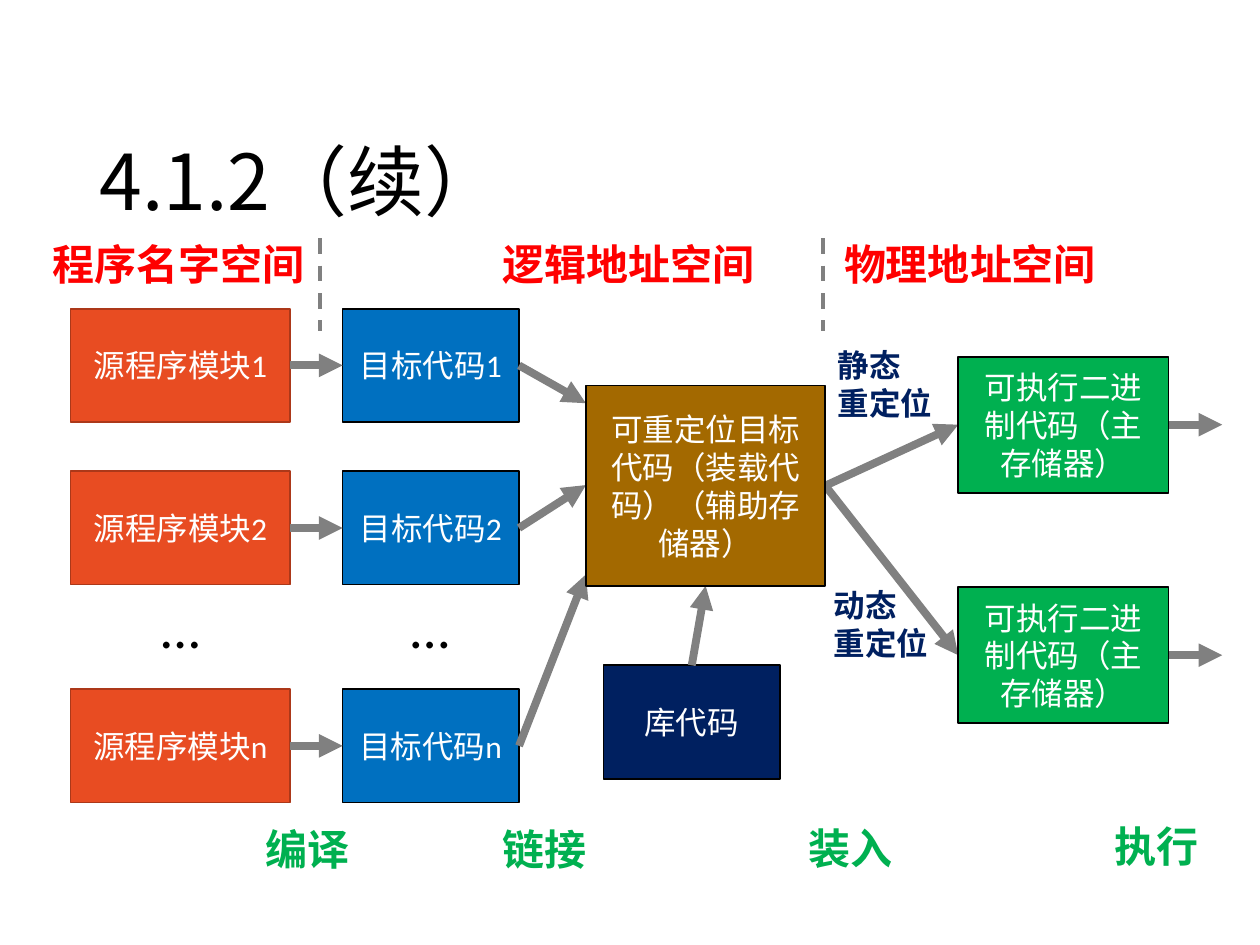
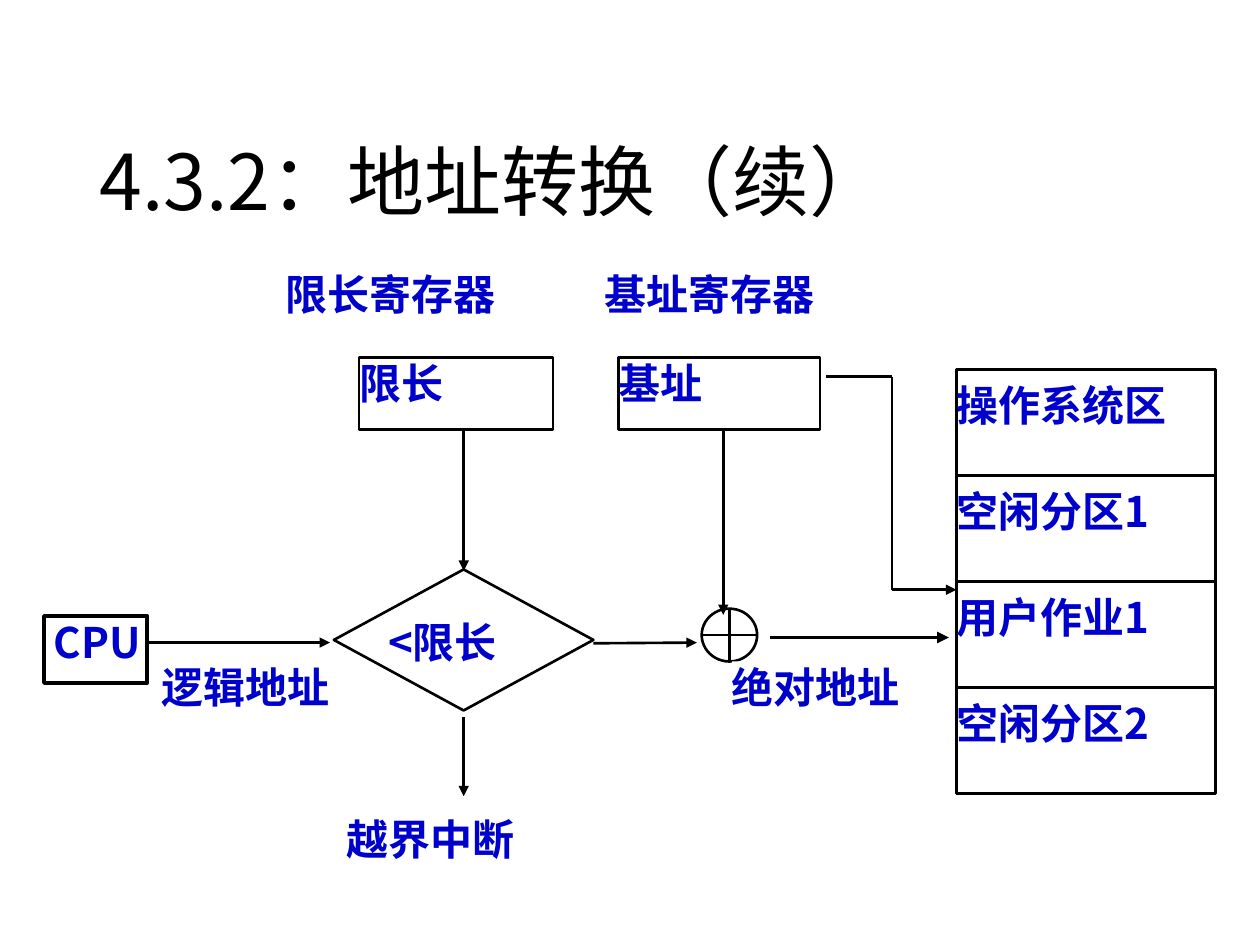
from dataclasses import dataclass
from lxml import etree
from pptx import Presentation
from pptx.dml.color import RGBColor
from pptx.enum.dml import MSO_LINE
from pptx.enum.shapes import MSO_CONNECTOR, MSO_SHAPE
from pptx.enum.text import MSO_ANCHOR, MSO_AUTO_SIZE, PP_ALIGN
from pptx.oxml.ns import qn
from pptx.util import Pt

RECTANGLE = MSO_SHAPE.RECTANGLE
DECISION = MSO_SHAPE.FLOWCHART_DECISION
SUMMING = MSO_SHAPE.FLOWCHART_OR
STRAIGHT = MSO_CONNECTOR.STRAIGHT
DASH = MSO_LINE.DASH
TOP, MIDDLE, BOTTOM = MSO_ANCHOR.TOP, MSO_ANCHOR.MIDDLE, MSO_ANCHOR.BOTTOM
LEFT, CENTER = PP_ALIGN.LEFT, PP_ALIGN.CENTER
FIT, FIXED = MSO_AUTO_SIZE.SHAPE_TO_FIT_TEXT, MSO_AUTO_SIZE.NONE


@dataclass(frozen=True)
class Theme:
    heading_font: str = "Noto Sans CJK SC"
    body_font: str = "Calibri"
    title_size: float = 44
    dots_size: float = 32
    label_size: float = 24
    box_size: float = 18
    black: str = "000000"
    white: str = "FFFFFF"
    gray: str = "808080"
    orange: str = "E84C22"
    rust: str = "AC3819"
    blue: str = "0070C0"
    navy: str = "002060"
    brown: str = "A36900"
    green: str = "00B050"
    red: str = "FF0000"
    ink: str = "0000CC"
    thin: float = 1
    normal: float = 1.5
    bold: float = 2.25
    thick: float = 4.5


theme = Theme()
SLIDE_SIZE = (720, 540)
TITLE_FRAME = (49.7, 28.8, 620.6, 104.4)

MODULE_NAMES = ["1", "2", "n"]
MODULE_TOPS = [176.4, 269.3, 393.8]
MODULE_HEIGHT = 64.8
MODULE_COLUMNS = [
    ("源程序模块", 40.3, 125.6, theme.orange, theme.rust),
    ("目标代码", 195.8, 100.8, theme.blue, theme.black),
]
DOTS = [(85, 334.8), (227.5, 334.8)]
LIBRARY = ("库代码", (344.9, 380.2, 100.8, 64.8), theme.navy)
LOADABLE = ("可重定位目标代码（装载代码）（辅助存储器）", (334.8, 220.3, 136.8, 114.5), theme.brown)
EXECUTABLE = "可执行二进制代码（主存储器）"
EXECUTABLE_TOPS = [203.8, 335.5]
EXECUTABLE_LEFT, EXECUTABLE_WIDTH, EXECUTABLE_HEIGHT = 547.6, 120.2, 77.8
EXIT_RIGHT = 698.4
LINK_ENDS = [230.4, 277.2, 328.3]
SPACES = [("程序名字空间", 23), ("逻辑地址空间", 280.1), ("物理地址空间", 475.2)]
SPACE_TOP, SPACE_WIDTH, LABEL_HEIGHT = 132.5, 159.8, 36
DIVIDERS = [182.9, 470.2]
STEPS = [("编译", 144.7, 467.3), ("链接", 280.1, 467.3), ("装入", 455, 466.6), ("执行", 630, 465.1)]
STEP_WIDTH = 63.4
RELOCATIONS = [(["静态", "重定位"], 471.6, 194.4), (["动态", "重定位"], 469.4, 331.2)]

REGISTERS = [
    ("限长寄存器", (163.4, 153.4, 167, 37.4), None),
    ("基址寄存器", (345.6, 153.4, 151.9, 37.4), None),
    ("限长", (205.2, 204.5, 110.9, 41), theme.normal),
    ("基址", (353.5, 204.5, 115.2, 41), theme.normal),
    (" CPU", (25.2, 352.1, 59, 38.2), theme.bold),
    ("逻辑地址", (92.2, 378, 100.8, 31.7), None),
    ("绝对地址", (418.3, 378, 119.5, 38.2), None),
    ("越界中断", (198, 465.1, 133.2, 33.8), None),
]
PARTITIONS = ["操作系统区", "空闲分区1", "用户作业1", "空闲分区2"]
MEMORY_LEFT, MEMORY_TOP, MEMORY_WIDTH, PARTITION_HEIGHT = 546.5, 211, 148.3, 60.6
SUMMING_FRAME = (401, 347.8, 31.7, 30.2)
DECISION_FRAME = (190.8, 325.4, 148.3, 80.6)
DECISION_TEXT = ("<限长", (221.8, 352.1, 79.9, 38.2))
SIGNALS = [
    ((84.7, 367.2), (188.6, 367.2), theme.normal, True),
    ((265, 245.5), (265, 326.2), theme.normal, True),
    ((265, 409.7), (265, 455), theme.normal, True),
    ((339.1, 367.6), (398.2, 367.2), theme.normal, True),
    ((413.3, 246.2), (413.3, 351.4), theme.normal, True),
    ((439.9, 364.3), (542.2, 364.3), theme.bold, True),
    ((472.3, 215.3), (509.8, 215.3), theme.normal, False),
    ((509.8, 215.3), (509.8, 337), theme.normal, False),
    ((509.8, 337), (546.5, 337), theme.normal, True),
]


def points(values):
    return [Pt(value) for value in values]


def color(value):
    return RGBColor.from_string(value)


def write(shape, lines, size, ink, font=theme.heading_font, bold=False, align=LEFT,
          anchor=TOP, insets=(7.2, 3.6, 7.2, 3.6), wrap=True, fit=FIXED, spacing=None):
    frame = shape.text_frame
    frame.word_wrap, frame.auto_size, frame.vertical_anchor = wrap, fit, anchor
    (frame.margin_left, frame.margin_top,
     frame.margin_right, frame.margin_bottom) = points(insets)
    for index, line in enumerate(lines):
        paragraph = frame.add_paragraph() if index else frame.paragraphs[0]
        paragraph.alignment = align
        paragraph.line_spacing = spacing
        run = paragraph.add_run()
        run.text = line
        run.font.size, run.font.name, run.font.bold = Pt(size), font, bold
        run.font.color.rgb = color(ink)
        etree.SubElement(run.font._element, qn("a:ea")).set("typeface", font)


def add_text(slide, lines, frame, size, ink, **options):
    write(slide.shapes.add_textbox(*points(frame)), lines, size, ink, **options)


def add_shape(slide, kind, frame, fill, outline, width):
    shape = slide.shapes.add_shape(kind, *points(frame))
    shape.shadow.inherit = False
    shape.fill.solid()
    shape.fill.fore_color.rgb = color(fill)
    if width:
        shape.line.color.rgb = color(outline)
        shape.line.width = Pt(width)
    else:
        shape.line.fill.background()
    return shape


def add_block(slide, text, frame, fill, outline=theme.black):
    shape = add_shape(slide, RECTANGLE, frame, fill, outline, theme.thin)
    write(shape, [text], theme.box_size, theme.white, font=theme.body_font,
          align=CENTER, anchor=MIDDLE)


def add_cell(slide, text, frame, width, top_inset=0):
    shape = add_shape(slide, RECTANGLE, frame, theme.white, theme.black, width)
    write(shape, [text], theme.label_size, theme.ink, bold=True, insets=(0, top_inset, 0, 0))


def add_line(slide, start, end, ink, width, arrow=True, dash=None):
    connector = slide.shapes.add_connector(STRAIGHT, *points(start + end))
    connector.line.color.rgb = color(ink)
    connector.line.width = Pt(width)
    if dash:
        connector.line.dash_style = dash
    if arrow:
        etree.SubElement(connector.line._get_or_add_ln(), qn("a:tailEnd")).set("type", "triangle")
    etree.SubElement(connector._element.spPr, qn("a:effectLst"))


def add_slide(presentation, title):
    slide = presentation.slides.add_slide(presentation.slide_layouts[6])
    add_text(slide, [title], TITLE_FRAME, theme.title_size, theme.black,
             anchor=BOTTOM, spacing=0.9)
    return slide


def build_address_spaces(presentation):
    slide = add_slide(presentation, "4.1.2（续）")
    for text, left, width, fill, outline in MODULE_COLUMNS:
        for name, top in zip(MODULE_NAMES, MODULE_TOPS):
            add_block(slide, text + name, (left, top, width, MODULE_HEIGHT), fill, outline)
    for left, top in DOTS:
        add_text(slide, ["…"], (left, top, 36.7, 46.1), theme.dots_size, theme.black,
                 font=theme.body_font, wrap=False, fit=FIT)
    add_block(slide, *LIBRARY)

    source_left, source_width = MODULE_COLUMNS[0][1:3]
    target_left, target_width = MODULE_COLUMNS[1][1:3]
    load_left, load_top, load_width, load_height = LOADABLE[1]
    links = []
    for top, link_end in zip(MODULE_TOPS, LINK_ENDS):
        center = top + MODULE_HEIGHT / 2
        links.append(((source_left + source_width, center), (target_left, center)))
        links.append(((target_left + target_width, center), (load_left, link_end)))
    library_left, library_top, library_width, _ = LIBRARY[1]
    links.append(((library_left + library_width / 2, library_top),
                  (load_left + load_width / 2, load_top + load_height)))
    for top in EXECUTABLE_TOPS:
        center = top + EXECUTABLE_HEIGHT / 2
        links.append(((load_left + load_width, load_top + load_height / 2),
                      (EXECUTABLE_LEFT, center)))
        links.append(((EXECUTABLE_LEFT + EXECUTABLE_WIDTH, center), (EXIT_RIGHT, center)))
    for start, end in links:
        add_line(slide, start, end, theme.gray, theme.thick)
    for left in DIVIDERS:
        add_line(slide, (left, 136.1), (left, 189.4), theme.gray, theme.bold, False, DASH)

    add_block(slide, *LOADABLE)
    for top in EXECUTABLE_TOPS:
        add_block(slide, EXECUTABLE,
                  (EXECUTABLE_LEFT, top, EXECUTABLE_WIDTH, EXECUTABLE_HEIGHT), theme.green)
    labels = [(text, left, SPACE_TOP, SPACE_WIDTH, theme.red) for text, left in SPACES]
    labels += [(text, left, top, STEP_WIDTH, theme.green) for text, left, top in STEPS]
    for text, left, top, width, ink in labels:
        add_text(slide, [text], (left, top, width, LABEL_HEIGHT), theme.label_size, ink,
                 bold=True, wrap=False, fit=FIT)
    for lines, left, top in RELOCATIONS:
        add_text(slide, lines, (left, top, 70.6, 51.1), theme.box_size, theme.navy,
                 bold=True, fit=FIT)


def build_translation(presentation):
    slide = add_slide(presentation, "4.3.2：地址转换（续）")
    add_shape(slide, SUMMING, SUMMING_FRAME, theme.white, theme.black, theme.normal)
    add_shape(slide, DECISION, DECISION_FRAME, theme.white, theme.black, theme.normal)
    for text, frame, width in REGISTERS:
        add_cell(slide, text, frame, width)
    for index, text in enumerate(PARTITIONS):
        top = MEMORY_TOP + index * PARTITION_HEIGHT
        add_cell(slide, text, (MEMORY_LEFT, top, MEMORY_WIDTH, PARTITION_HEIGHT),
                 theme.normal, 5.8)
    text, frame = DECISION_TEXT
    add_text(slide, [text], frame, theme.label_size, theme.ink, bold=True, insets=(0, 0, 0, 0))
    for start, end, width, arrow in SIGNALS:
        add_line(slide, start, end, theme.black, width, arrow)


presentation = Presentation()
presentation.slide_width, presentation.slide_height = points(SLIDE_SIZE)
build_address_spaces(presentation)
build_translation(presentation)
presentation.save("out.pptx")
